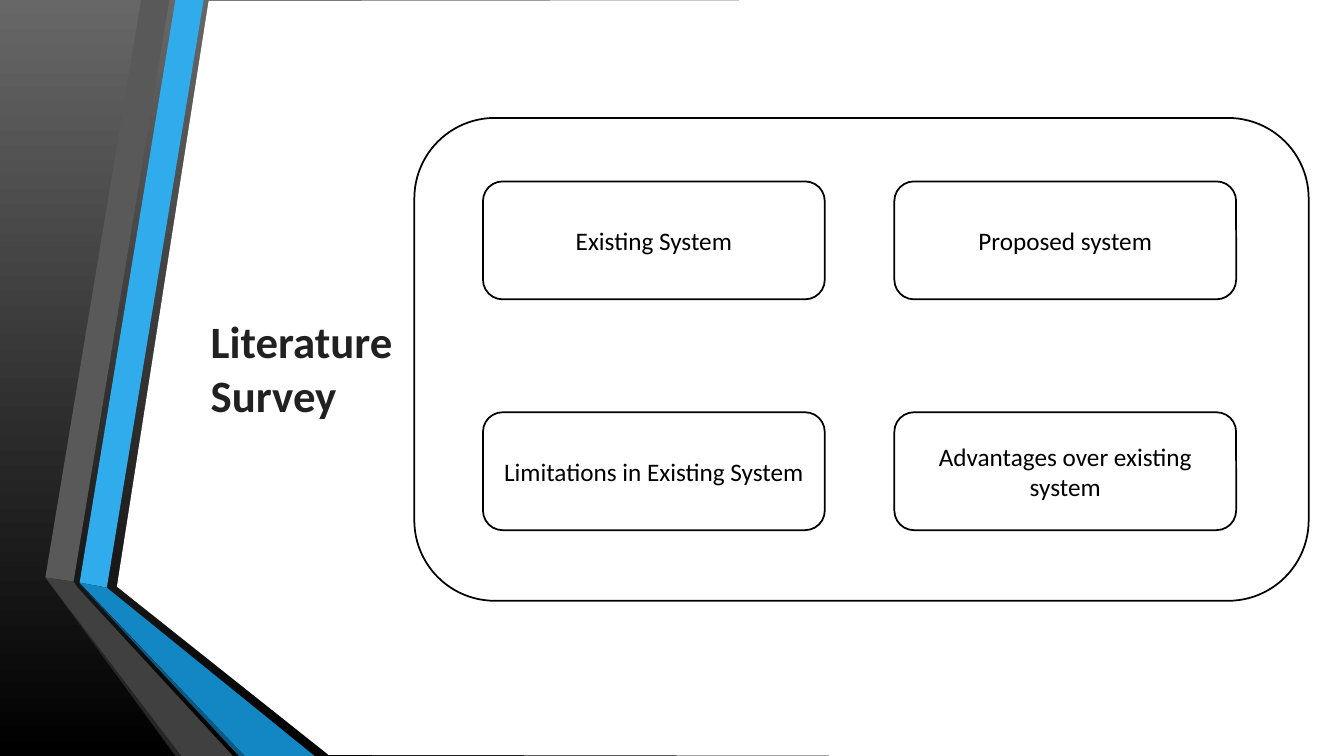
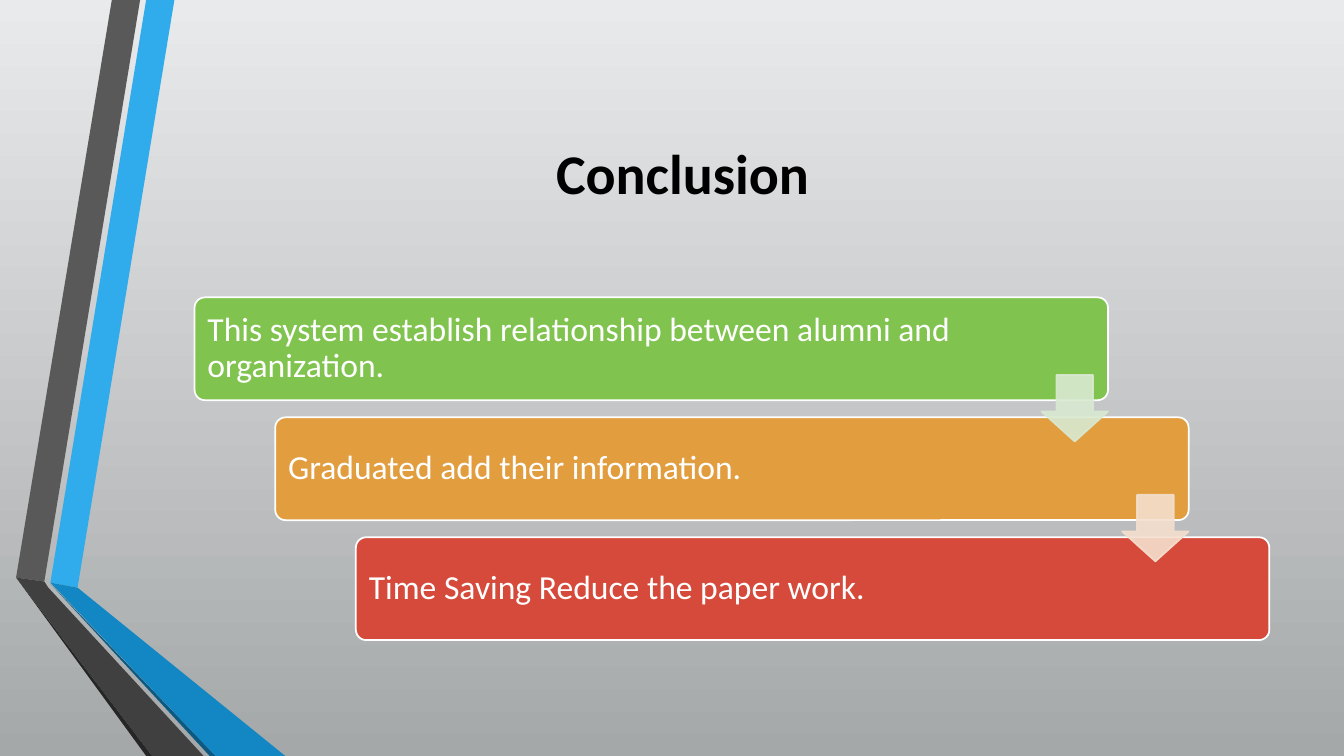
from lxml import etree
from pptx import Presentation
from pptx.dml.color import RGBColor
from pptx.enum.shapes import MSO_SHAPE
from pptx.enum.text import MSO_ANCHOR, MSO_AUTO_SIZE, PP_ALIGN
from pptx.oxml.ns import qn
from pptx.util import Pt

ROUNDED, RECTANGLE, DOWN_ARROW = (
    MSO_SHAPE.ROUNDED_RECTANGLE, MSO_SHAPE.RECTANGLE, MSO_SHAPE.DOWN_ARROW)
LEFT, CENTER = PP_ALIGN.LEFT, PP_ALIGN.CENTER
MIDDLE = MSO_ANCHOR.MIDDLE

EMU_PER_PX = 9144  # 100 px to the inch
SLIDE_WIDTH, SLIDE_HEIGHT = 1333, 750
FONT = "Calibri"
LINE_WIDTH = 1.25

WHITE = RGBColor(0xFF, 0xFF, 0xFF)
BLACK = RGBColor(0x00, 0x00, 0x00)
INK = RGBColor(0x21, 0x21, 0x21)
BLUE = RGBColor(0x30, 0xAC, 0xEC)
MID_BLUE = RGBColor(0x12, 0x87, 0xC3)
DEEP_BLUE = RGBColor(0x0C, 0x5A, 0x82)
GRAY = RGBColor(0x59, 0x59, 0x59)
DARK_GRAY = RGBColor(0x40, 0x40, 0x40)
CHARCOAL = RGBColor(0x26, 0x26, 0x26)
SIDE_GRAY = RGBColor(0x67, 0x67, 0x67)
SKY_LIGHT = RGBColor(0xE9, 0xEA, 0xEB)
SKY_DARK = RGBColor(0xA5, 0xA8, 0xA9)
GREEN = RGBColor(0x80, 0xC3, 0x4F)
ORANGE = RGBColor(0xE2, 0x9D, 0x3E)
RED = RGBColor(0xD6, 0x4A, 0x3B)
PALE_GREEN = RGBColor(0xD8, 0xE9, 0xD0)
PALE_ORANGE = RGBColor(0xF4, 0xDF, 0xCE)

RIBBONS = [
    (BLUE, [(50, 578), (77, 583), (173, 0), (145, 0)]),
    (GRAY, [(139, 0), (111, 0), (16, 573), (44, 577)]),
    (CHARCOAL, [(16, 573), (145, 750), (151, 750)]),
    (DEEP_BLUE, [(50, 579), (208, 750), (214, 750)]),
    (MID_BLUE, [(50, 578), (214, 750), (283, 750), (77, 583)]),
    (DARK_GRAY, [(202, 750), (48, 583), (44, 577), (16, 573), (151, 750)]),
]
SURVEY_RIBBON_SHIFT = 29
SURVEY_PAGE = [(1333, 0), (1333, 750), (950, 750), (326, 749),
               (116, 582), (207, 1), (950, 0)]
SURVEY_FRAME = (411, 117, 887, 479)
SURVEY_TOPICS = [
    ["Existing System", "Proposed system"],
    ["Limitations in Existing System", "Advantages over existing system"],
]
TOPIC_LEFT, TOPIC_TOP = 479, 180
TOPIC_WIDTH, TOPIC_HEIGHT = 339, 117
TOPIC_STEP_X, TOPIC_STEP_Y = 408, 229

CONCLUSIONS = [
    ("This system establish relationship between alumni and organization.",
     GREEN, PALE_GREEN),
    ("Graduated add their information.", ORANGE, PALE_ORANGE),
    ("Time Saving Reduce the paper work.", RED, None),
]
BAR_LEFT, BAR_TOP = 193, 295
BAR_WIDTH, BAR_HEIGHT = 906, 102
BAR_STEP_X, BAR_STEP_Y = 80, 119
BAR_RIGHT_MARGIN = 114
ARROW_SIZE, ARROW_OVERLAP = 66, 25


def px(length):
    return length * EMU_PER_PX


def set_gradient(fill, top_color, bottom_color):
    fill.gradient()
    fill.gradient_angle = 270
    for stop, color in zip(fill.gradient_stops, (top_color, bottom_color)):
        stop.color.rgb = color


def paint(shape, fill_color, line_color=None):
    shape.shadow.inherit = False
    shape.fill.solid()
    shape.fill.fore_color.rgb = fill_color
    if line_color is None:
        shape.line.fill.background()
    else:
        shape.line.color.rgb = line_color
        shape.line.width = Pt(LINE_WIDTH)


def add_box(slide, kind, box, fill_color, line_color=None):
    shape = slide.shapes.add_shape(kind, *map(px, box))
    paint(shape, fill_color, line_color)
    return shape


def add_outline(slide, points, color, shift=0):
    """Add a closed, filled polygon moved right by shift px."""
    start, *others = [(x + shift, y) for x, y in points]
    builder = slide.shapes.build_freeform(*start, scale=EMU_PER_PX)
    builder.add_line_segments(others, close=True)
    paint(builder.convert_to_shape(), color)


def add_ribbons(slide, shift=0):
    for color, points in RIBBONS:
        add_outline(slide, points, color, shift)


def write(shape, text, size, color, alignment, bold=False):
    frame = shape.text_frame
    frame.text = text
    frame.word_wrap = True
    frame.auto_size = MSO_AUTO_SIZE.NONE
    frame.vertical_anchor = MIDDLE
    paragraph = frame.paragraphs[0]
    paragraph.alignment = alignment
    font = paragraph.runs[0].font
    font.name, font.size, font.bold = FONT, Pt(size), bold
    font.color.rgb = color
    return frame


def place_title(slide, text, box, size, color, alignment):
    """Fill the title placeholder and bring it in front of the backdrop."""
    title = slide.shapes.title
    title.left, title.top, title.width, title.height = map(px, box)
    title.element.getparent().append(title.element)
    return write(title, text, size, color, alignment, bold=True)


def set_opacity(shape, percent):
    for color in shape.element.spPr.iter(qn("a:srgbClr")):
        etree.SubElement(color, qn("a:alpha"), val=str(percent * 1000))


def build_survey(slide):
    side = add_box(slide, RECTANGLE, (0, 0, SLIDE_WIDTH, SLIDE_HEIGHT), BLACK)
    set_gradient(side.fill, SIDE_GRAY, BLACK)
    add_outline(slide, SURVEY_PAGE, WHITE)
    add_ribbons(slide, SURVEY_RIBBON_SHIFT)
    title_frame = place_title(
        slide, "Literature Survey", (199, 117, 334, 495), 32, INK, LEFT)
    title_frame.margin_right = px(122)  # keeps the title left of the frame
    add_box(slide, ROUNDED, SURVEY_FRAME, WHITE, BLACK)
    for row, topics in enumerate(SURVEY_TOPICS):
        for column, topic in enumerate(topics):
            box = (TOPIC_LEFT + column * TOPIC_STEP_X,
                   TOPIC_TOP + row * TOPIC_STEP_Y, TOPIC_WIDTH, TOPIC_HEIGHT)
            shape = add_box(slide, ROUNDED, box, WHITE, BLACK)
            write(shape, topic, 18, BLACK, CENTER)


def build_conclusion(slide):
    set_gradient(slide.background.fill, SKY_LIGHT, SKY_DARK)
    add_ribbons(slide)
    place_title(slide, "Conclusion", (193, 75, 968, 192), 40, BLACK, CENTER)
    arrows = []
    for index, (text, color, arrow_color) in enumerate(CONCLUSIONS):
        left = BAR_LEFT + index * BAR_STEP_X
        top = BAR_TOP + index * BAR_STEP_Y
        bar = add_box(slide, ROUNDED, (left, top, BAR_WIDTH, BAR_HEIGHT),
                      color, WHITE)
        bar.adjustments[0] = 0.1
        frame = write(bar, text, 24, WHITE, LEFT)
        frame.margin_left = px(10)
        frame.margin_right = px(BAR_RIGHT_MARGIN)
        frame.paragraphs[0].line_spacing = 0.9
        if arrow_color is not None:
            arrows.append((left + BAR_WIDTH - ARROW_SIZE,
                           top + BAR_HEIGHT - ARROW_OVERLAP, arrow_color))
    for left, top, color in arrows:
        arrow = add_box(slide, DOWN_ARROW, (left, top, ARROW_SIZE, ARROW_SIZE),
                        color, color)
        arrow.adjustments[0] = 0.55
        arrow.adjustments[1] = 0.45
        set_opacity(arrow, 90)


def main():
    presentation = Presentation()
    presentation.slide_width = px(SLIDE_WIDTH)
    presentation.slide_height = px(SLIDE_HEIGHT)
    title_only = presentation.slide_layouts.get_by_name("Title Only")
    for build in (build_survey, build_conclusion):
        build(presentation.slides.add_slide(title_only))
    presentation.save("out.pptx")


if __name__ == "__main__":
    main()
